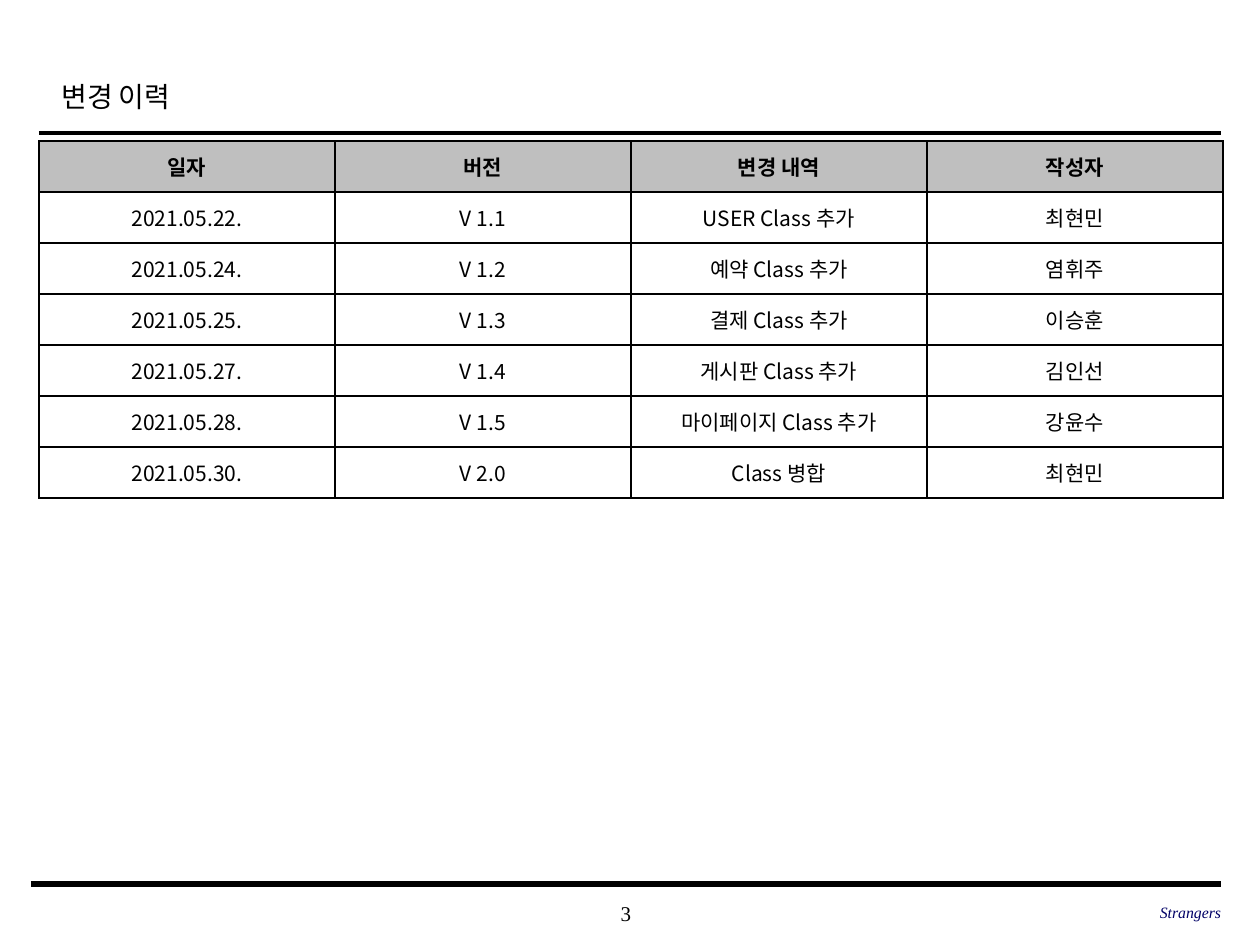
"""Build the change history slide with its revision table."""
from lxml.etree import SubElement
from pptx import Presentation
from pptx.dml.color import RGBColor
from pptx.enum.shapes import MSO_CONNECTOR as Connector
from pptx.enum.text import MSO_ANCHOR as Anchor, PP_ALIGN as Align
from pptx.oxml.ns import qn
from pptx.util import Emu, Pt

BLACK = RGBColor(0x00, 0x00, 0x00)
WHITE = RGBColor(0xFF, 0xFF, 0xFF)
GRAY = RGBColor(0xBF, 0xBF, 0xBF)
NAVY = RGBColor(0x00, 0x00, 0x66)
KOREAN = "Noto Sans CJK KR"
SERIF = "Times New Roman"
COLUMN_WIDTH, ROW_HEIGHT = 296, 51
HISTORY = [
    ("일자", "버전", "변경 내역", "작성자"),
    ("2021.05.22.", "V 1.1", "USER Class 추가", "최현민"),
    ("2021.05.24.", "V 1.2", "예약 Class 추가", "염휘주"),
    ("2021.05.25.", "V 1.3", "결제 Class 추가", "이승훈"),
    ("2021.05.27.", "V 1.4", "게시판 Class 추가", "김인선"),
    ("2021.05.28.", "V 1.5", "마이페이지 Class 추가", "강윤수"),
    ("2021.05.30.", "V 2.0", "Class 병합", "최현민"),
]


def px(length):
    return Emu(round(length * 914400 / 126))


def write(frame, text, size=12, font=KOREAN, color=BLACK, align=Align.CENTER,
          bold=False, italic=False, spacing=None, inset=None):
    frame.word_wrap = True
    frame.vertical_anchor = Anchor.MIDDLE
    if inset is not None:
        frame.margin_left = frame.margin_right = px(inset)
        frame.margin_top = frame.margin_bottom = px(inset)
    para = frame.paragraphs[0]
    para.alignment = align
    para.line_spacing = spacing
    span = para.add_run()
    span.text = text
    span.font.size = Pt(size)
    span.font.name = font
    span.font.bold = bold
    span.font.italic = italic
    span.font.color.rgb = color
    SubElement(span.font._element, qn("a:ea"), typeface=font)


deck = Presentation()
deck.slide_width, deck.slide_height = px(1260), px(945)
page = deck.slides.add_slide(deck.slide_layouts[6])

for left, top, weight in [(39, 133, 2.5), (31, 884, 3)]:
    rule = page.shapes.add_connector(Connector.STRAIGHT, px(left), px(top), px(1221), px(top))
    rule.line.color.rgb = BLACK
    rule.line.width = Pt(weight)
    SubElement(rule._element.spPr, qn("a:effectLst"))

labels = [
    ("변경 이력", (49, 62, 951, 63), dict(size=16, align=Align.LEFT, spacing=1.2)),
    ("3", (495, 892, 262, 42), dict(font=SERIF, inset=0)),
    ("Strangers", (835, 891, 386, 42),
     dict(size=9, font=SERIF, color=NAVY, align=Align.RIGHT, italic=True, inset=0)),
]
for text, bounds, style in labels:
    box = page.shapes.add_textbox(*map(px, bounds))
    write(box.text_frame, text, **style)

row_count, column_count = len(HISTORY), len(HISTORY[0])
table = page.shapes.add_table(row_count, column_count, px(39), px(141),
                              px(column_count * COLUMN_WIDTH), px(row_count * ROW_HEIGHT)).table
for column in table.columns:
    column.width = px(COLUMN_WIDTH)
for row_index, entries in enumerate(HISTORY):
    table.rows[row_index].height = px(ROW_HEIGHT)
    is_header = row_index == 0
    for column_index, text in enumerate(entries):
        cell = table.cell(row_index, column_index)
        write(cell.text_frame, text, bold=is_header)
        cell.vertical_anchor = Anchor.MIDDLE
        properties = cell._tc.get_or_add_tcPr()
        for side in ("lnL", "lnR", "lnT", "lnB"):
            border = SubElement(properties, qn(f"a:{side}"), w=str(Pt(1)))
            paint = SubElement(border, qn("a:solidFill"))
            SubElement(paint, qn("a:srgbClr"), val=str(BLACK))
        cell.fill.solid()
        cell.fill.fore_color.rgb = GRAY if is_header else WHITE

deck.save("out.pptx")
